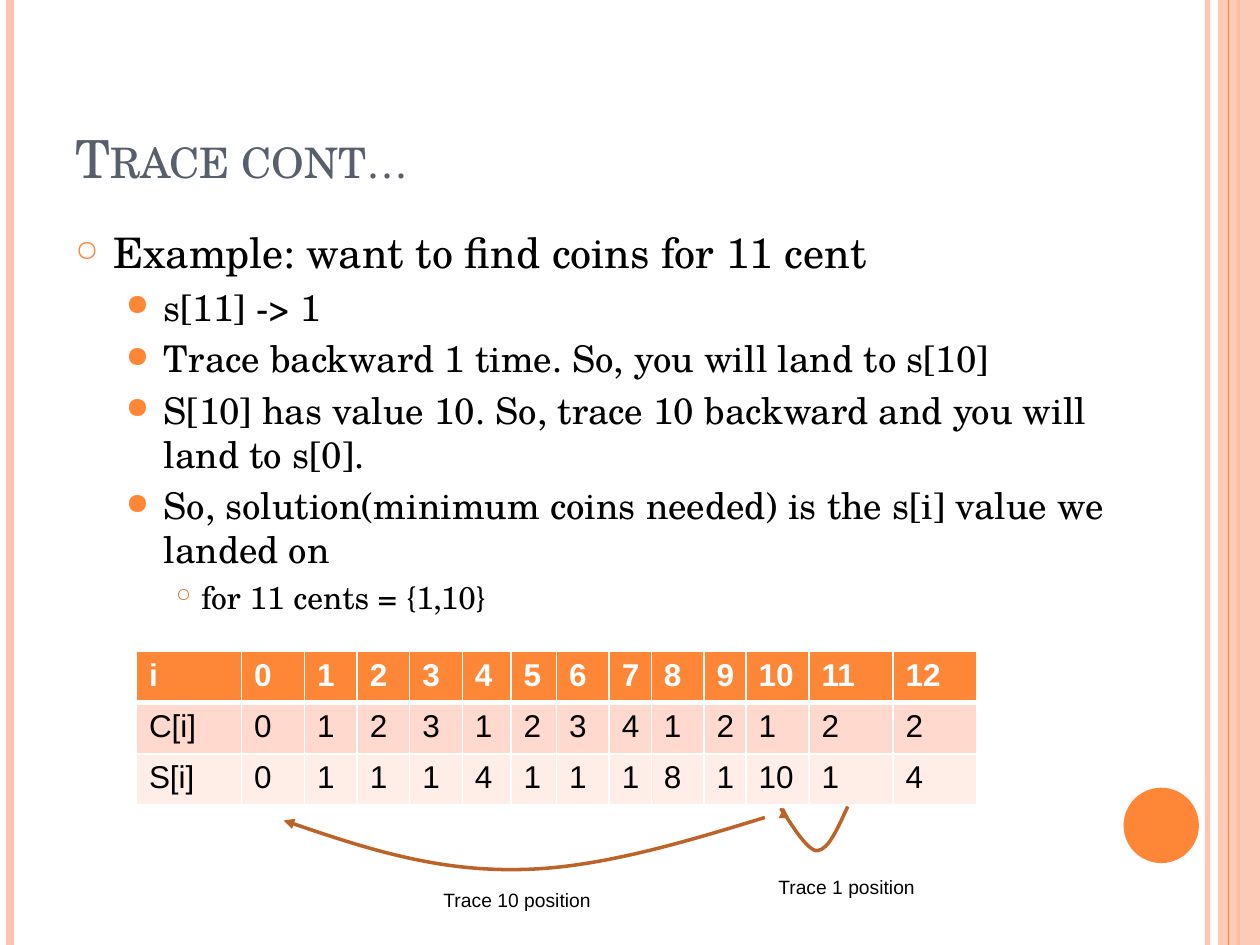
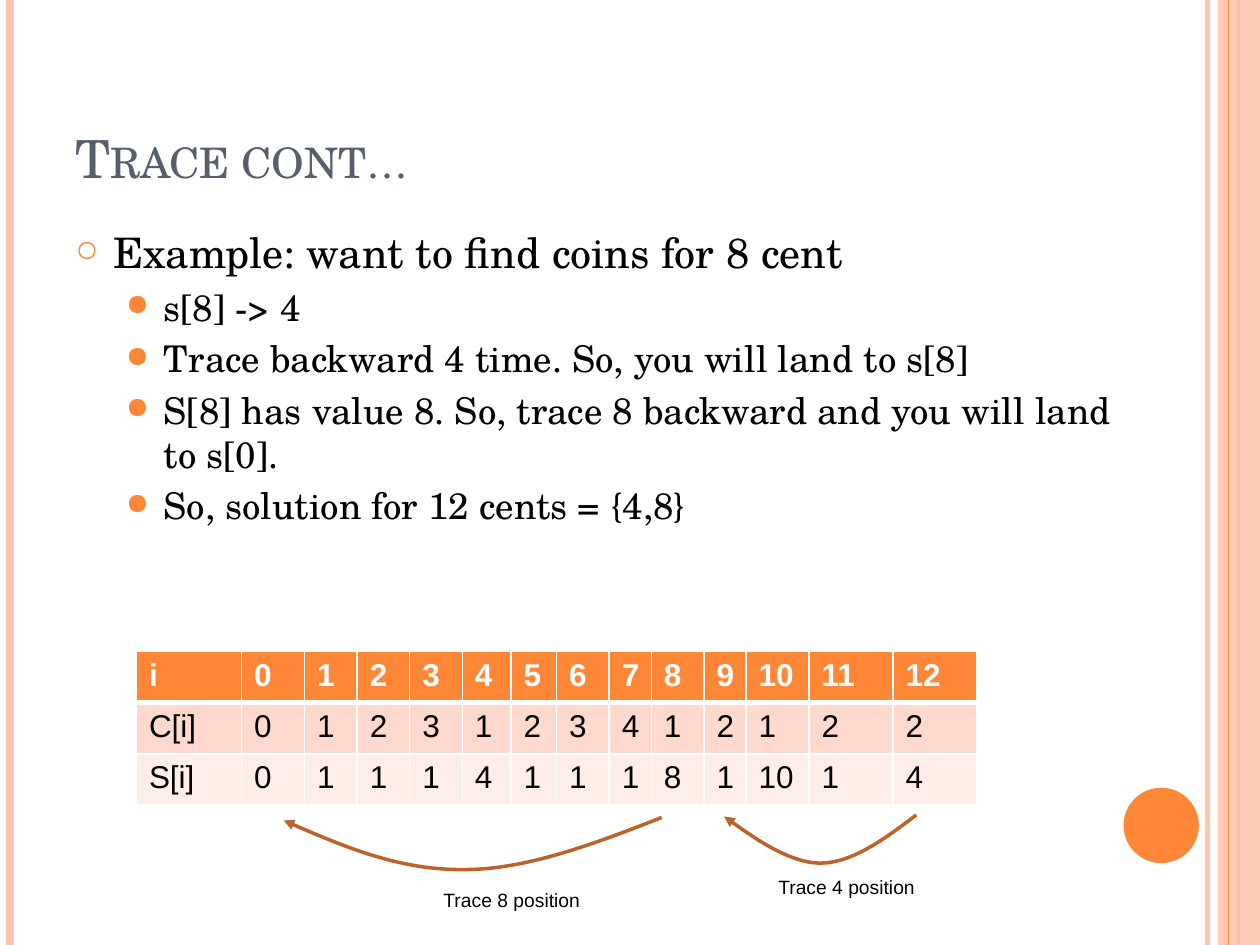
from lxml import etree
from pptx import Presentation, util as u
from pptx.dml.color import RGBColor
from pptx.enum import shapes, text
from pptx.oxml.ns import qn

COLORS = {"orange": "FE8637", "peach": "FEC3AE", "slate": "575F6D", "black": "000000",
          "white": "FFFFFF", "dark_orange": "E0752F", "rust": "BC6329",
          "row_odd": "FFD9CE", "row_even": "FFEDE8"}
SERIF, SANS = "TeX Gyre Schola", "Arial"
PAGE_BOX = (0, 0, 25.4, 19.05)
TITLE_BOX = (1.27, 0.76, 20.76, 3.17)
BODY_BOX = (1.27, 4.45, 21.38, 13.55)
TABLE_BOX = (2.75, 13.13, 16.94, 3.1)
TRACE_BOX = (2.74, 16.23, 16.94, 2.3)

RAILS = [(24.34, "peach", 3, 93), (0.21, "peach", 4.5, 100),
         (24.97, "orange", 1.5, 100), (24.77, "orange", 0.75, 100)]
LEVELS = [("○", "orange", 70, 24, 0.76), ("●", "orange", 80, 21, 1.78),
          ("○", "dark_orange", 60, 18, 2.54)]
HANGING = [0.76, 0.76, 0.51]
COLUMNS = [2.12, 1.27, 1.06, 1.06, 1.06, 0.98, 0.92, 1.06, 0.85, 1.06, 0.85, 1.27, 1.69, 1.69]
ROWS = [["i", *range(13)],
        ["C[i]", 0, 1, 2, 3, 1, 2, 3, 4, 1, 2, 1, 2, 2],
        ["S[i]", 0, 1, 1, 1, 4, 1, 1, 1, 8, 1, 10, 1, 4]]

SWEEP = [(1, 0.25), (0.82, 0.79), (0.64, 1.3), (0.48, 1.3), (0.31, 1.32), (0.15, 0.81), (0, 0.31)]
SWEEP_END = 2.98
ONE_BACK = [(14.35, 0.03), (14.15, 0.46), (13.97, 0.89), (13.74, 0.92), (13.54, 0.94),
            (13.16, 0.31), (13.06, 0.15), (12.93, 0), (13.01, 0.03), (13.06, 0.05)]
FOUR_BACK = [(15.73, 0.2), (15.09, 0.69), (14.43, 1.17), (13.8, 1.17), (13.14, 1.17),
             (11.95, 0.3), (11.86, 0.23)]

SLIDES = [
    {"points": [(0, "Example: want to find coins for 11 cent"),
                (1, "s[11] -> 1"),
                (1, "Trace backward 1 time. So, you will land to s[10]"),
                (1, "S[10] has value 10. So, trace 10 backward and you will land to s[0]."),
                (1, "So, solution(minimum coins needed) is the s[i] value we landed on"),
                (2, "for 11 cents = {1,10}")],
     "short_curve": ONE_BACK, "short_label": "Trace 1 position",
     "sweep_start": 12.68, "sweep_label": "Trace 10 position"},
    {"points": [(0, "Example: want to find coins for 8 cent"),
                (1, "s[8] -> 4"),
                (1, "Trace backward 4 time. So, you will land to s[8]"),
                (1, "S[8] has value 8. So, trace 8 backward and you will land to s[0]."),
                (1, "So, solution for 12 cents = {4,8}")],
     "short_curve": FOUR_BACK, "short_label": "Trace 4 position",
     "sweep_start": 10.6, "sweep_label": "Trace 8 position"},
]


def rgb(name):
    """Return the named colour."""
    return RGBColor.from_string(COLORS[name])


def child(parent, tag, **attributes):
    """Append a drawing element to a parent."""
    return etree.SubElement(parent, qn(tag), attributes)


def set_alpha(shape, percent):
    """Make the colours of a shape partly transparent."""
    for color in shape.element.spPr.iter(qn("a:srgbClr")):
        child(color, "a:alpha", val=str(percent * 1000))


def style(para, font, size, color, bold=False):
    """Format the runs of a paragraph."""
    for span in para.runs:
        span.font.name, span.font.size, span.font.bold = font, u.Pt(size), bold
        span.font.color.rgb = rgb(color)


def add_text(page, box, words):
    """Add a text box in the given box and return its frame."""
    frame = page.shapes.add_textbox(*map(u.Cm, box)).text_frame
    frame.word_wrap = True
    frame.text = words
    return frame


def add_solid(page, kind, box, color):
    """Add a filled shape without an outline."""
    shape = page.shapes.add_shape(kind, *map(u.Cm, box))
    shape.shadow.inherit = False
    shape.fill.solid()
    shape.fill.fore_color.rgb = rgb(color)
    shape.line.fill.background()
    return shape


def add_rail(page, x, top, height, color, weight, alpha):
    """Add a vertical line."""
    rail = page.shapes.add_connector(shapes.MSO_CONNECTOR.STRAIGHT, u.Cm(x), u.Cm(top),
                                     u.Cm(x), u.Cm(top + height))
    rail.line.color.rgb = rgb(color)
    rail.line.width = u.Pt(weight)
    child(rail.element.spPr, "a:effectLst")
    if alpha < 100:
        set_alpha(rail, alpha)


def add_frame(page, box):
    """Draw the side rails, the right band and the disc."""
    left, top, width, height = box
    for index, (x, color, weight, alpha) in enumerate(RAILS):
        if index == 3:
            band = add_solid(page, shapes.MSO_SHAPE.RECTANGLE,
                             (left + width - 0.85, top, 0.85, height), "peach")
            set_alpha(band, 87)
        add_rail(page, left + x, top, height, color, weight, alpha)
    add_solid(page, shapes.MSO_SHAPE.OVAL,
              (left + width - 2.75, top + 15.88, 1.52, 1.52), "orange")


def add_title(page, box):
    """Add the small-caps title at the foot of its box."""
    frame = add_text(page, box, "Trace cont…")
    frame.vertical_anchor = text.MSO_ANCHOR.BOTTOM
    para = frame.paragraphs[0]
    style(para, SERIF, 30, "slate")
    para.runs[0].font._element.set("cap", "small")


def add_body(page, box, points):
    """Add the bulleted points."""
    frame = add_text(page, box, "\n".join(words for _, words in points))
    for index, (para, (level, _)) in enumerate(zip(frame.paragraphs, points)):
        mark, mark_color, mark_size, size, indent = LEVELS[level]
        para.level = level
        props = para._p.get_or_add_pPr()
        props.set("marL", str(u.Cm(indent)))
        props.set("indent", str(-u.Cm(HANGING[level])))
        child(child(props, "a:buClr"), "a:srgbClr", val=COLORS[mark_color])
        child(props, "a:buSzPct", val=str(mark_size * 1000))
        child(props, "a:buChar", char=mark)
        if index:
            para.space_before = u.Pt(size * 0.2)
        style(para, SERIF, size, "black")


def set_borders(cell, top, bottom):
    """Give a cell white borders, one point wide at the sides."""
    props = cell._tc.get_or_add_tcPr()
    for index, (side, weight) in enumerate(zip("LRTB", (1, 1, top, bottom))):
        edge = etree.Element(qn(f"a:ln{side}"), w=str(u.Pt(weight)))
        child(child(edge, "a:solidFill"), "a:srgbClr", val=COLORS["white"])
        props.insert(index, edge)


def add_coin_table(page, box):
    """Add the table of coin counts and last coins."""
    table = page.shapes.add_table(len(ROWS), len(COLUMNS), *map(u.Cm, box)).table
    for column, width in zip(table.columns, COLUMNS):
        column.width = u.Cm(width)
    for r, values in enumerate(ROWS):
        table.rows[r].height = u.Cm(box[3] / len(ROWS))
        for c, value in enumerate(values):
            cell = table.cell(r, c)
            cell.text = str(value)
            cell.fill.solid()
            cell.fill.fore_color.rgb = rgb(("orange", "row_odd", "row_even")[r])
            set_borders(cell, 3 if r == 1 else 1, 3 if r == 0 else 1)
            style(cell.text_frame.paragraphs[0], SANS, 18, "black" if r else "white", r == 0)


def add_curve(page, box, points):
    """Draw a curved arrow through Bézier points given relative to the box."""
    start, *others = [(u.Cm(box[0] + x), u.Cm(box[1] + y)) for x, y in points]
    builder = page.shapes.build_freeform(*start)
    builder.add_line_segments(others, close=False)
    curve = builder.convert_to_shape()
    curve.shadow.inherit = False
    curve.fill.background()
    curve.line.color.rgb = rgb("rust")
    curve.line.width = u.Pt(2)
    child(curve.line._get_or_add_ln(), "a:tailEnd", type="triangle")
    segments = list(curve.element.iter(qn("a:lnTo")))
    for first in range(0, len(segments), 3):
        trio = segments[first:first + 3]
        bend = etree.Element(qn("a:cubicBezTo"))
        trio[0].addprevious(bend)
        for segment in trio:
            bend.append(segment[0])
            segment.getparent().remove(segment)


def add_traces(page, box, content):
    """Draw the two backward steps with their labels."""
    span = content["sweep_start"] - SWEEP_END
    add_curve(page, box, content["short_curve"])
    add_curve(page, box, [(SWEEP_END + span * share, y) for share, y in SWEEP])
    for x, y, words in [(12.7, 1.3, content["short_label"]), (5.95, 1.55, content["sweep_label"])]:
        frame = add_text(page, (box[0] + x, box[1] + y, 3.5, 0.74), words)
        frame.word_wrap = False
        frame.auto_size = text.MSO_AUTO_SIZE.SHAPE_TO_FIT_TEXT
        style(frame.paragraphs[0], SANS, 11, "black")


def add_trace_slide(deck, content):
    """Add one slide that traces a coin solution."""
    page = deck.slides.add_slide(deck.slide_layouts[6])
    add_frame(page, PAGE_BOX)
    add_title(page, TITLE_BOX)
    add_body(page, BODY_BOX, content["points"])
    add_coin_table(page, TABLE_BOX)
    add_traces(page, TRACE_BOX, content)


def main():
    """Build and save the deck."""
    deck = Presentation()
    deck.slide_width, deck.slide_height = map(u.Cm, PAGE_BOX[2:])
    for content in SLIDES:
        add_trace_slide(deck, content)
    deck.save("out.pptx")


if __name__ == "__main__":
    main()
